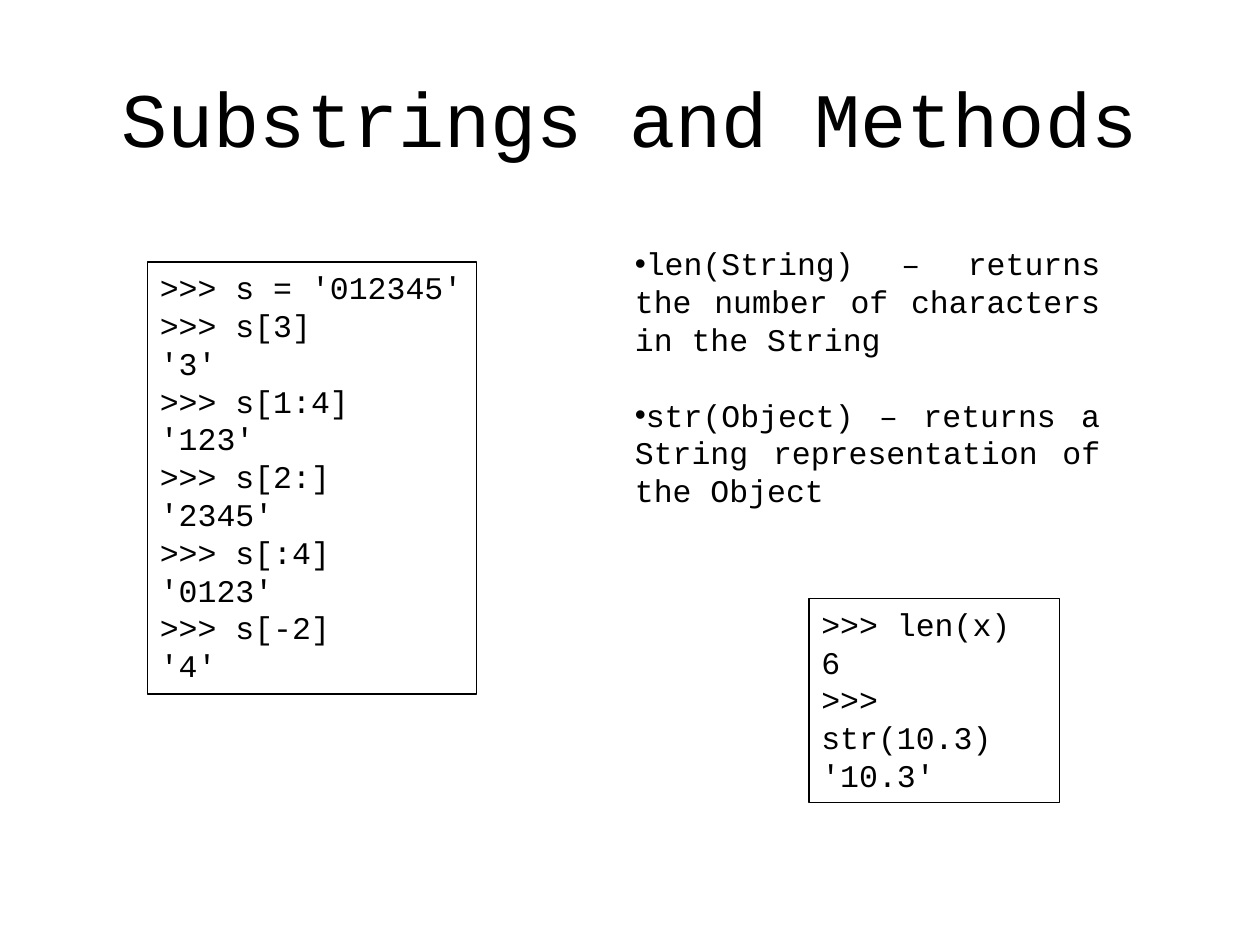
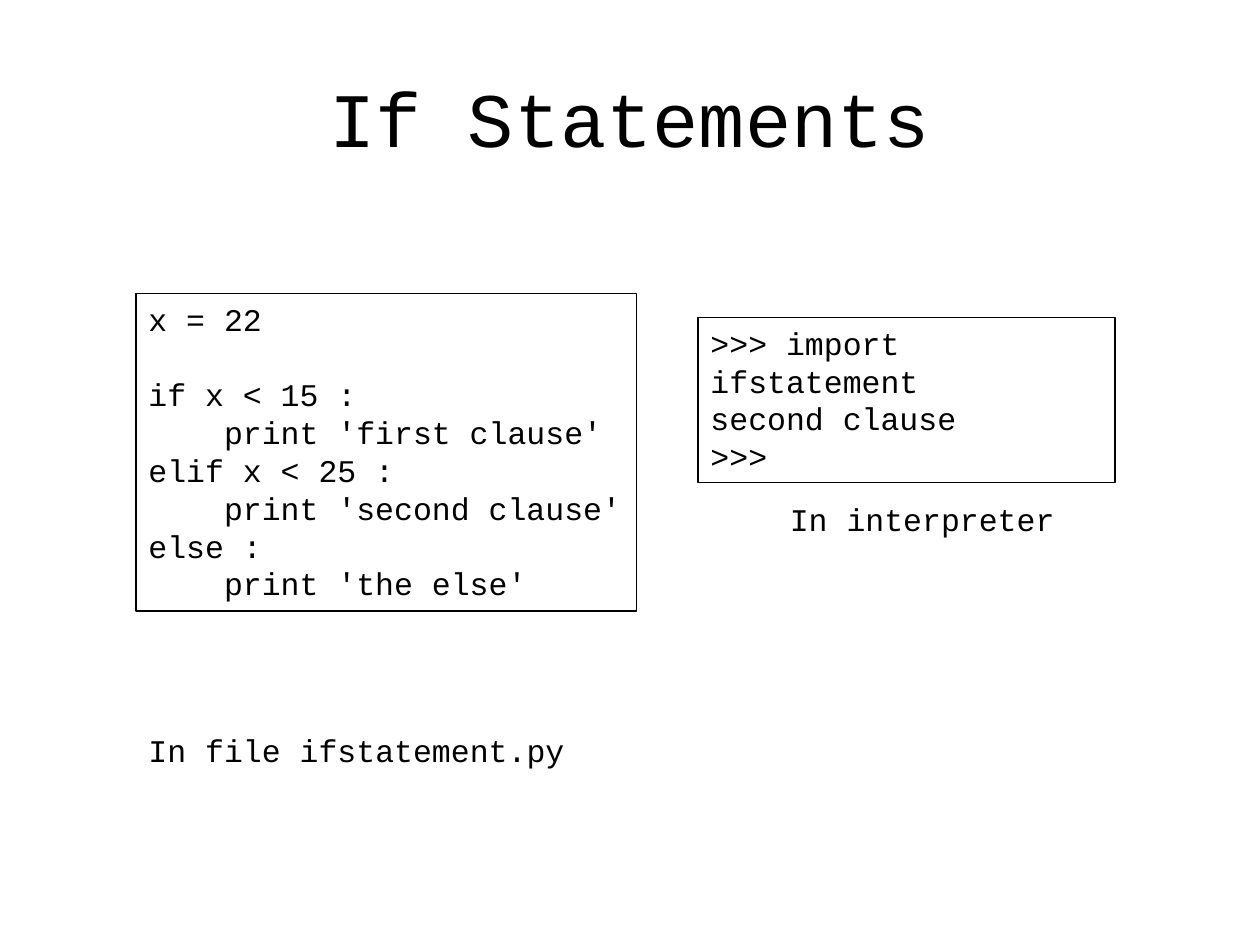
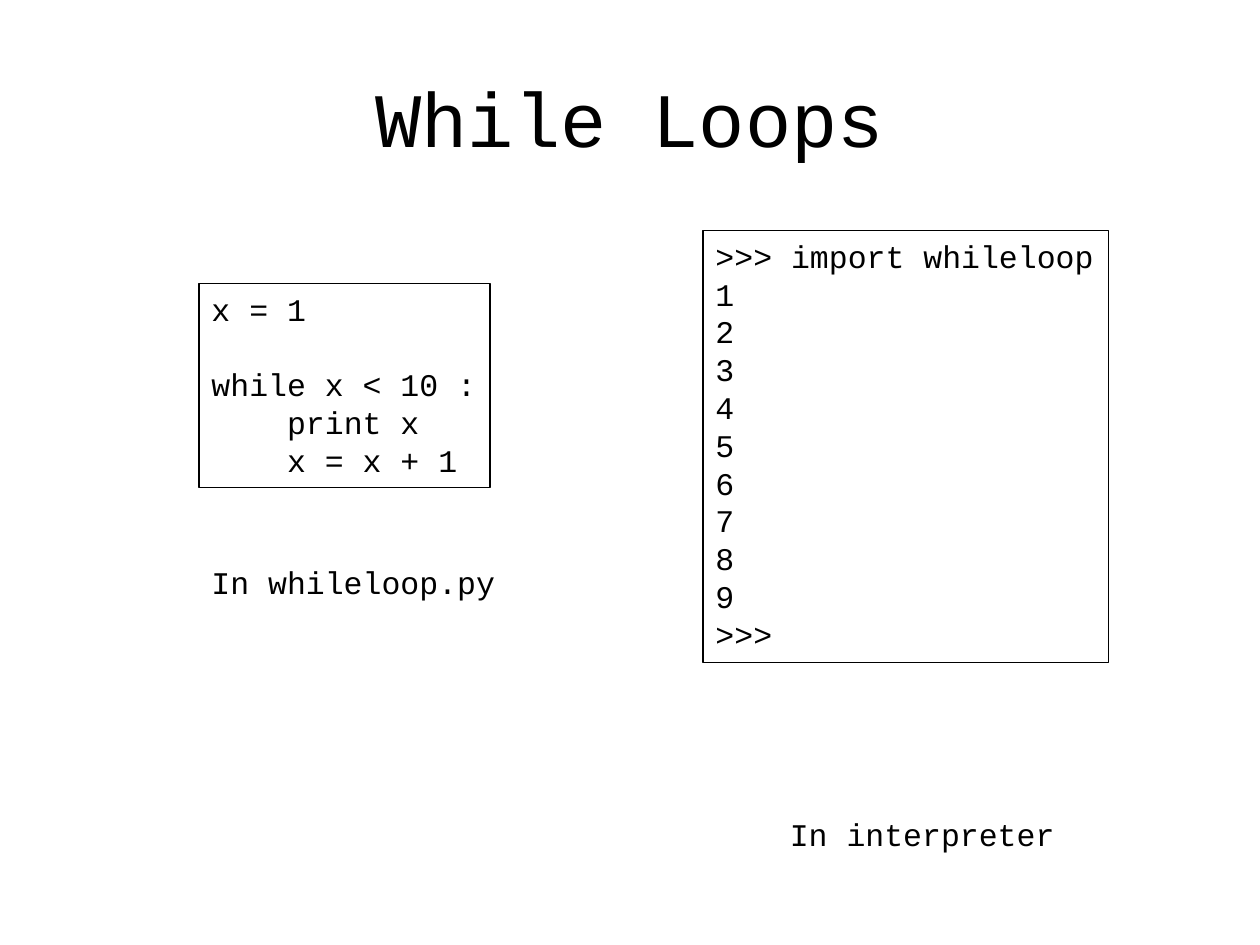
"""Build three slides on Python strings, if statements and while loops."""
from lxml.etree import SubElement as Sub
from pptx import Presentation
from pptx.dml.color import RGBColor as RGB
from pptx.enum.shapes import MSO_SHAPE as Shape
from pptx.enum.text import MSO_ANCHOR as Anchor, MSO_AUTO_SIZE as Auto, PP_ALIGN as Align
from pptx.oxml.ns import qn
from pptx.util import Inches, Pt

COLORS = {"ink": "000000", "page": "FFFFFF"}
INK = RGB.from_string(COLORS["ink"])
FONT = "Courier New"
SIZE = 18
LINE = Pt(21.6)
TAB = Inches(0.6)


def write(frame, lines, size=SIZE, align=Align.LEFT):
    gap = False
    first = True
    for line in lines:
        if not line:
            gap = True
            continue
        para = frame.paragraphs[0] if first else frame.add_paragraph()
        first = False
        para.alignment = align
        if gap:
            para.space_before = LINE
            gap = False
        if line.startswith("\t"):
            para._p.get_or_add_pPr().set("marL", str(TAB))
        run = para.add_run()
        run.text = line.strip()
        run.font.name = FONT
        run.font.size = Pt(size)
        run.font.color.rgb = INK


def place(slide, spot, lines, wrap=False, frame=False):
    area = [Inches(n) for n in spot]
    if frame:
        box = slide.shapes.add_shape(Shape.RECTANGLE, *area)
        box.shadow.inherit = False
        box.fill.background()
        box.line.color.rgb = INK
        box.line.width = Pt(0.75)
    else:
        box = slide.shapes.add_textbox(*area)
    text = box.text_frame
    text.word_wrap = wrap
    text.auto_size = Auto.SHAPE_TO_FIT_TEXT
    text.vertical_anchor = Anchor.TOP
    write(text, lines)
    return text


deck = Presentation()
deck.slide_width = Inches(10)
deck.slide_height = Inches(7.5)

slides = []
for name in ["Substrings and Methods", "If Statements", "While Loops"]:
    slide = deck.slides.add_slide(deck.slide_layouts[6])
    slide.background.fill.solid()
    slide.background.fill.fore_color.rgb = RGB.from_string(COLORS["page"])
    head = slide.shapes.add_textbox(Inches(0.5), Inches(0.3), Inches(9), Inches(1.25))
    head.text_frame.word_wrap = True
    head.text_frame.vertical_anchor = Anchor.MIDDLE
    write(head.text_frame, [name], 44, Align.CENTER)
    slides.append(slide)
subs, ifs, loops = slides

place(subs, (1.17, 2.08, 2.61, 3.43), [
    ">>> s = '012345'",
    ">>> s[3]", "'3'",
    ">>> s[1:4]", "'123'",
    ">>> s[2:]", "'2345'",
    ">>> s[:4]", "'0123'",
    ">>> s[-2]", "'4'",
], frame=True)
notes = place(subs, (4.94, 1.89, 3.89, 2.22), [
    "len(String) \u2013 returns the number of characters in the String",
    "",
    "str(Object) \u2013 returns a String representation of the Object",
], wrap=True)
for para in notes.paragraphs:
    para.alignment = Align.JUSTIFY
    props = para._p.get_or_add_pPr()
    Sub(props, qn("a:buFont")).set("typeface", "Arial")
    Sub(props, qn("a:buChar")).set("char", "\u2022")
place(subs, (6.42, 4.75, 1.99, 1.62),
      [">>> len(x)", "6", ">>> str(10.3)", "'10.3'"], wrap=True, frame=True)

place(ifs, (1.08, 2.33, 3.97, 2.52), [
    "x = 22",
    "",
    "if x < 15 :",
    "\tprint 'first clause'",
    "elif x < 25 :",
    "\tprint 'second clause'",
    "else :",
    "\tprint 'the else'",
], frame=True)
place(ifs, (1.08, 5.75, 3.52, 0.4), ["In file ifstatement.py"])
place(ifs, (5.54, 2.52, 3.31, 1.31),
      [">>> import ifstatement", "second clause", ">>>"], wrap=True, frame=True)

place(loops, (1.58, 2.25, 2.31, 1.62), [
    "x = 1",
    "",
    "while x < 10 :",
    "\tprint x",
    "\tx = x + 1",
], frame=True)
place(loops, (5.58, 1.83, 3.22, 3.43),
      [">>> import whileloop", *map(str, range(1, 10)), ">>>"], frame=True)
place(loops, (1.58, 4.42, 2.46, 0.4), ["In whileloop.py"])

for slide, top in [(ifs, 3.92), (loops, 6.42)]:
    place(slide, (6.17, top, 2.31, 0.4), ["In interpreter"])

deck.save("out.pptx")
